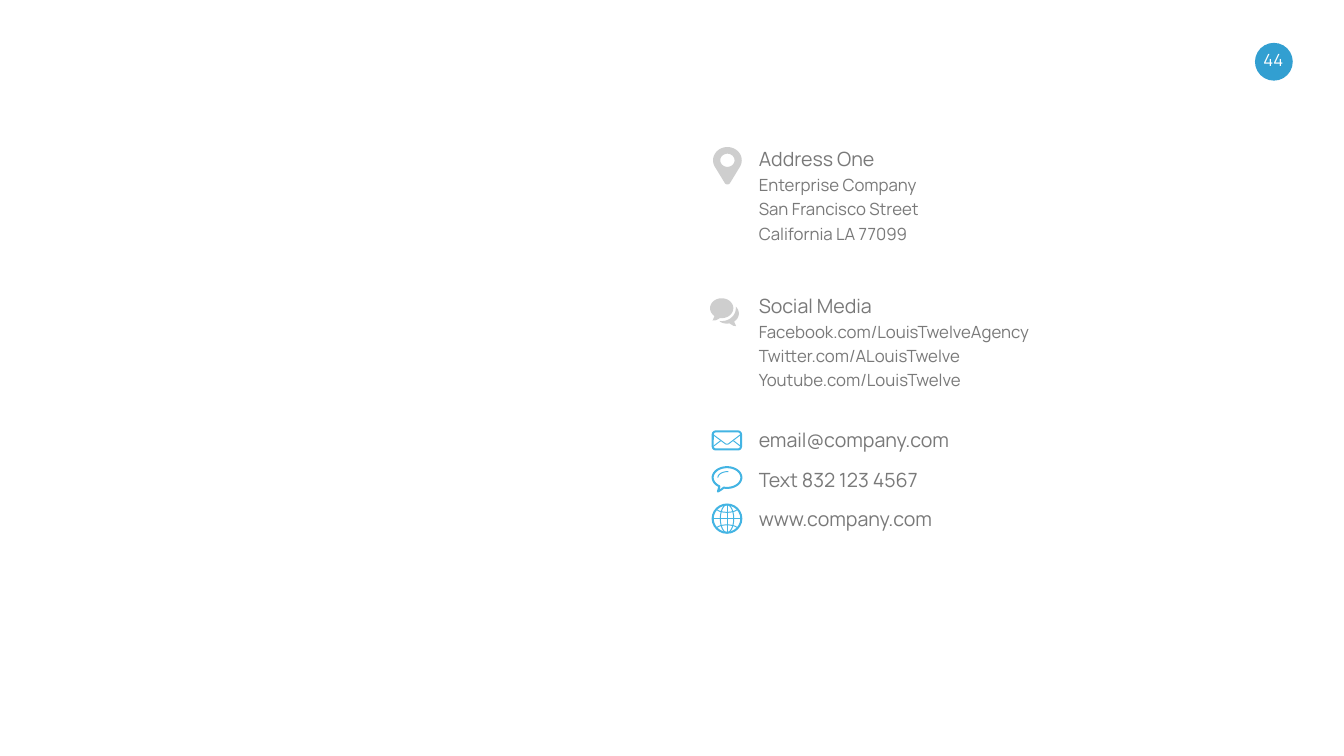
from math import cos, radians, sin

from lxml import etree
from pptx import Presentation
from pptx.dml.color import RGBColor
from pptx.enum.shapes import MSO_CONNECTOR, MSO_SHAPE
from pptx.enum.text import MSO_ANCHOR, MSO_AUTO_SIZE, PP_ALIGN
from pptx.oxml.ns import qn
from pptx.util import Pt

OVAL, ROUND = MSO_SHAPE.OVAL, MSO_SHAPE.ROUNDED_RECTANGLE
STRAIGHT = MSO_CONNECTOR.STRAIGHT
LEFT, CENTER = PP_ALIGN.LEFT, PP_ALIGN.CENTER
TOP, MIDDLE = MSO_ANCHOR.TOP, MSO_ANCHOR.MIDDLE

# Content
PAGE = "44"
BLOCKS = [
    ["Address One", "Enterprise Company", "San Francisco Street", "California LA 77099"],
    ["Social Media", "Facebook.com/LouisTwelveAgency", "Twitter.com/ALouisTwelve",
     "Youtube.com/LouisTwelve"],
]
LINKS = ["email@company.com", "Text 832 123 4567", "www.company.com"]

# Style
FONT = "Manrope"
BLUE, SKY, GRAY, PALE, WHITE = "329FD1", "43B4E3", "797979", "CECECE", "FFFFFF"
HEAD, BODY = 28, 24
THICK, THIN = 2.9, 1.4

# Layout, in points
TEXT_X = 1064.6
BLOCK_Y, BLOCK_STEP = 194.4, 209.5
LINK_Y, LINK_STEP = 602, 56.5
MID = 1038.6  # centre line of the link icons


def color(code):
    return RGBColor.from_string(code)


def place(shape, x, y, w, h):
    shape.left, shape.top, shape.width, shape.height = Pt(x), Pt(y), Pt(w), Pt(h)


def write(shape, lines, sizes, ink=GRAY, align=LEFT, anchor=TOP, space=1.0):
    frame = shape.text_frame
    frame.word_wrap, frame.auto_size = True, MSO_AUTO_SIZE.NONE
    frame.vertical_anchor = anchor
    frame.margin_left = frame.margin_right = Pt(19.4)
    frame.margin_top = frame.margin_bottom = Pt(9.4)
    for i, (line, size) in enumerate(zip(lines, sizes)):
        para = frame.paragraphs[0] if i == 0 else frame.add_paragraph()
        props = para._p.get_or_add_pPr()
        props.set("marL", "0")
        props.set("indent", "0")
        etree.SubElement(props, qn("a:buNone"))
        para.alignment, para.line_spacing = align, space
        para.space_before = para.space_after = Pt(0)
        run = para.add_run()
        run.text = line
        run.font.name, run.font.size = FONT, Pt(size)
        run.font.color.rgb = color(ink)


def label(text, x, y, w, h, size, **style):
    box = slide.shapes.add_textbox(Pt(x), Pt(y), Pt(w), Pt(h))
    write(box, [text], [size], **style)


def paint(shape, fill=None, line=None, width=THIN):
    shape.shadow.inherit = False
    if fill:
        shape.fill.solid()
        shape.fill.fore_color.rgb = color(fill)
    else:
        shape.fill.background()
    if line:
        shape.line.color.rgb, shape.line.width = color(line), Pt(width)
    else:
        shape.line.fill.background()


def preset(kind, x, y, w, h, **style):
    shape = slide.shapes.add_shape(kind, Pt(x), Pt(y), Pt(w), Pt(h))
    paint(shape, **style)
    return shape


def oval(x, y, rx, ry, **style):
    preset(OVAL, x - rx, y - ry, 2 * rx, 2 * ry, **style)


def arc(x, y, rx, ry, start, end, steps=48):
    turns = [radians(start + (end - start) * i / steps) for i in range(steps + 1)]
    return [(x + rx * cos(t), y + ry * sin(t)) for t in turns]


def trace(*paths, close=True, **style):
    pens = [[(Pt(x), Pt(y)) for x, y in path] for path in paths]
    form = slide.shapes.build_freeform(*pens[0][0], scale=1.0)
    for i, pen in enumerate(pens):
        if i:
            form.move_to(*pen[0])
        form.add_line_segments(pen[1:], close=close)
    paint(form.convert_to_shape(), **style)


def stroke(x1, y1, x2, y2):
    line = slide.shapes.add_connector(STRAIGHT, Pt(x1), Pt(y1), Pt(x2), Pt(y2))
    line.line.color.rgb, line.line.width = color(SKY), Pt(THIN)
    etree.SubElement(line._element.spPr, qn("a:effectLst"))


def pin(x=1039.2, y=229):
    trace(arc(x, y, 20.5, 18.9, 150, 390) + arc(x, y + 30, 4.5, 4.5, 30, 150),
          arc(x, y, 10.2, 9.4, 0, 360), fill=PALE)


def chat(x=1031, y=440.3):
    trace(arc(x, y, 16.6, 14.2, 128, 458) + [(x - 8, y + 17.2), (x - 13, y + 17.6)],
          fill=PALE)
    fx, fy = x + 7.5, y + 7.5
    trace(arc(fx, fy, 17, 14.5, -40, 53) + [(x + 20.6, y + 25.5), (x + 17, y + 25.3)]
          + arc(fx, fy, 17, 14.5, 78, 127) + arc(x, y, 20.2, 18.4, 98, -6), fill=PALE)


def mail(y=629.2):
    frame = preset(ROUND, MID - 20.4, y - 12.9, 40.4, 25.8, line=SKY, width=THICK)
    frame.adjustments[0] = 0.16
    trace([(MID - 19.5, y - 8), (MID - 2, y + 5), (MID, y + 5.4), (MID + 2, y + 5),
           (MID + 19, y - 8)], close=False, line=SKY)
    for side in (-1, 1):
        stroke(MID + side * 19, y + 8, MID + side * 9.2, y + 0.5)


def bubble(y=682.2):
    trace(arc(MID, y, 20.5, 14.8, 122, 463) + [(MID - 8, y + 17), (MID - 13, y + 20)],
          line=SKY, width=THICK)
    trace(arc(MID + 2, y, 15, 8.6, 180, 270), close=False, line=SKY)


def globe(y=740.9):
    oval(MID, y, 20.5, 20.2, line=SKY, width=THICK)
    oval(MID, y, 9.6, 20, line=SKY)
    stroke(MID - 20, y, MID + 20, y)
    stroke(MID, y - 20, MID, y + 20)
    trace(arc(MID, y - 14, 14.5, 5, 15, 165), arc(MID, y + 14, 14.5, 5, 195, 345),
          close=False, line=SKY)


deck = Presentation()
deck.slide_width, deck.slide_height = Pt(1920), Pt(1080)
slide = deck.slides.add_slide(deck.slide_layouts[3])
title, *bodies = slide.placeholders
title._element.getparent().remove(title._element)

# Page number
oval(1819.8, 88.2, 27, 27, fill=BLUE)
label(PAGE, 1777, 56.2, 84.2, 57.6, BODY, ink=WHITE, align=CENTER, anchor=MIDDLE)

# Address and social blocks
for i, (body, lines) in enumerate(zip(bodies, BLOCKS)):
    place(body, TEXT_X, BLOCK_Y + i * BLOCK_STEP, 483, 216.7)
    write(body, lines, [HEAD] + [BODY] * (len(lines) - 1), space=1.2)

# Direct links
for i, link in enumerate(LINKS):
    label(link, TEXT_X, LINK_Y + i * LINK_STEP, 463, 58, HEAD)

# Icons
for icon in (pin, chat, mail, bubble, globe):
    icon()

deck.save("out.pptx")
